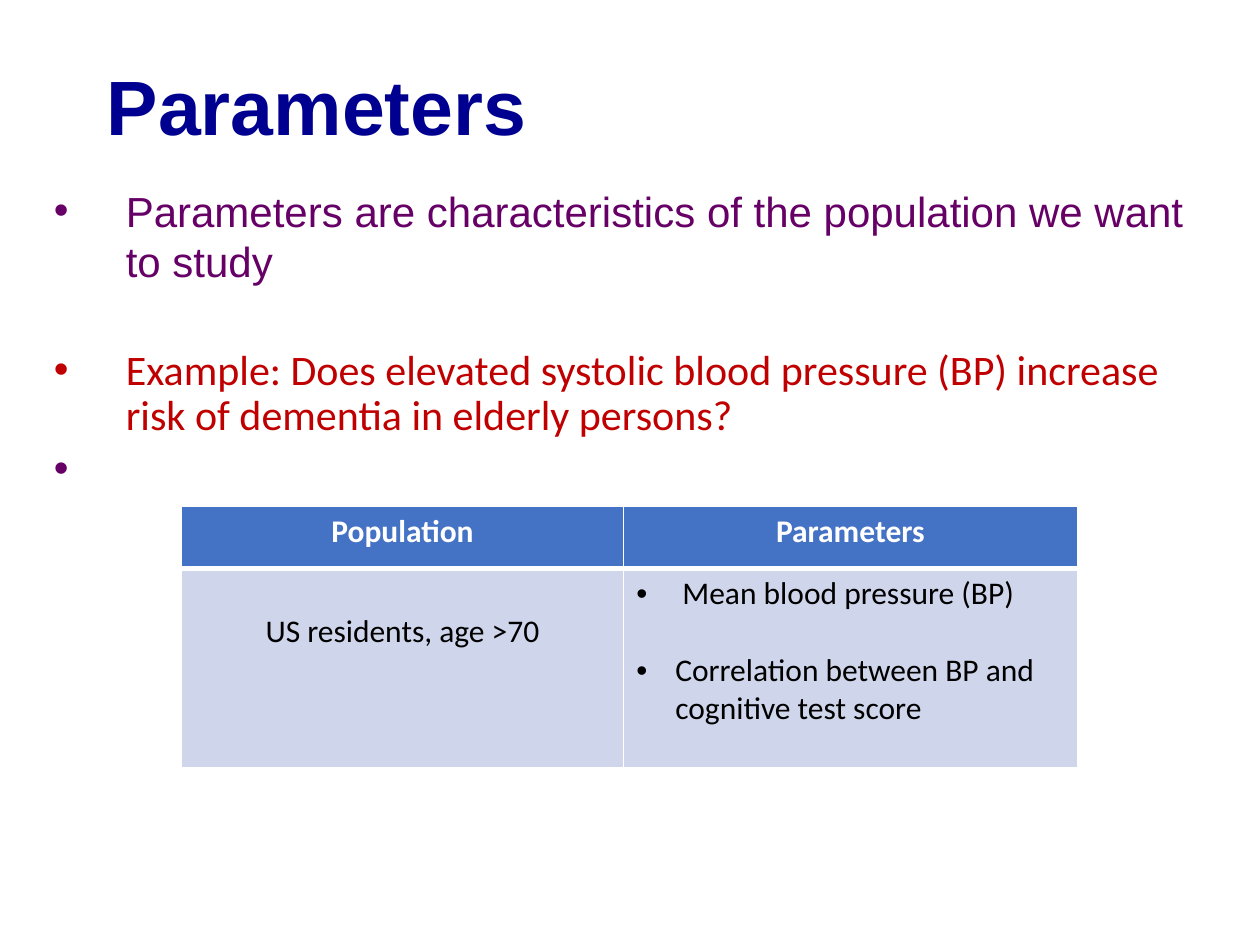
import pptx
import pptx.dml.color
import pptx.enum.text
import pptx.oxml
import pptx.oxml.ns
import pptx.util

ALIGN = pptx.enum.text.PP_ALIGN
ANCHOR = pptx.enum.text.MSO_ANCHOR
NAVY, PURPLE, RED = "000090", "660066", "C00000"
WHITE, BLACK, HEADER_BLUE, PALE_BLUE = "FFFFFF", "000000", "4472C4", "CFD5EA"


def color(hex_code):
    return pptx.dml.color.RGBColor.from_string(hex_code)


def xml(tag, attributes, content=""):
    namespace = pptx.oxml.ns.nsdecls("a")
    return pptx.oxml.parse_xml(f"<a:{tag} {namespace} {attributes}>{content}</a:{tag}>")


class LessonSlide:
    """Places elements on a grid of 100 columns by 75 rows."""

    def __init__(self, presentation):
        self.column = presentation.slide_width / 100
        self.row = presentation.slide_height / 75
        self.slide = presentation.slides.add_slide(presentation.slide_layouts[6])

    def across(self, columns):
        return round(columns * self.column)

    def down(self, rows):
        return round(rows * self.row)

    def area(self, left, top, width, height):
        return self.across(left), self.down(top), self.across(width), self.down(height)

    def fill_text(self, frame, paragraphs):
        """Each paragraph is (text, font values, paragraph values, bullet indent)."""
        for number, (text, font_values, layout, indent) in enumerate(paragraphs):
            paragraph = frame.add_paragraph() if number else frame.paragraphs[0]
            for name, value in layout.items():
                setattr(paragraph, name, value)
            if indent:
                properties = paragraph._p.get_or_add_pPr()
                properties.set("marL", str(self.across(indent)))
                properties.set("indent", str(-self.across(indent)))
                properties.append(xml("buFont", 'typeface="Arial"'))
                properties.append(xml("buChar", 'char="•"'))
            run = paragraph.add_run()
            run.text = text
            values = dict(font_values)
            run.font.color.rgb = color(values.pop("color"))
            for name, value in values.items():
                setattr(run.font, name, value)

    def text(self, area, paragraphs, anchor=ANCHOR.TOP):
        frame = self.slide.shapes.add_textbox(*self.area(*area)).text_frame
        frame.word_wrap = True
        frame.vertical_anchor = anchor
        self.fill_text(frame, paragraphs)

    def table(self, area, widths, heights, rows):
        """Each cell is (fill, bottom border in points, top margin in rows, paragraphs)."""
        table = self.slide.shapes.add_table(
            len(heights), len(widths), *self.area(*area)).table
        for column, width in zip(table.columns, widths):
            column.width = self.across(width)
        for row, height, cells in zip(table.rows, heights, rows):
            row.height = self.down(height)
            for cell, (fill, bottom, margin, paragraphs) in zip(row.cells, cells):
                self.borders(cell, bottom)
                cell.fill.solid()
                cell.fill.fore_color.rgb = color(fill)
                cell.margin_top = self.down(margin)
                self.fill_text(cell.text_frame, paragraphs)

    def borders(self, cell, bottom):
        properties = cell._tc.get_or_add_tcPr()
        line_fill = f'<a:solidFill><a:srgbClr val="{WHITE}"/></a:solidFill>'
        for side, points in {"lnL": 1, "lnR": 1, "lnT": 1, "lnB": bottom}.items():
            properties.append(xml(side, f'w="{pptx.util.Pt(points)}"', line_fill))


def font(name, size, hex_code, bold=False):
    return {"name": name, "size": pptx.util.Pt(size), "color": hex_code, "bold": bold}


def main():
    presentation = pptx.Presentation()
    presentation.slide_width = pptx.util.Inches(10)
    presentation.slide_height = pptx.util.Inches(7.5)
    lesson = LessonSlide(presentation)

    lesson.text((7.5, 2.5, 85, 12.5), [
        ("Parameters", font("Arial", 44, NAVY, True), {"line_spacing": 0.9}, 0),
    ], ANCHOR.MIDDLE)

    definition = font("Arial", 24, PURPLE)
    example = font("Calibri", 24, RED)
    lesson.text((3.3, 14.2, 94.2, 58.3), [
        ("Parameters are characteristics of the population we want to study",
         definition, {}, 5.7),
        ("Example: Does elevated systolic blood pressure (BP) increase risk of "
         "dementia in elderly persons?",
         example, {"line_spacing": 0.9, "space_before": pptx.util.Pt(36)}, 5.7),
        ("\t", definition, {"line_spacing": 0.9, "space_before": pptx.util.Pt(5)}, 5.7),
    ])

    heading = font("Calibri", 18, WHITE, True)
    entry = font("Calibri", 18, BLACK)
    centered = {"alignment": ALIGN.CENTER}
    header = [(HEADER_BLUE, 3, 0.5, [(label, heading, centered, 0)])
              for label in ("Population", "Parameters")]
    study = [
        (PALE_BLUE, 1, 3.55, [("US residents, age >70", entry, centered, 0)]),
        (PALE_BLUE, 1, 0.5, [
            (" Mean blood pressure (BP)", entry, {}, 3.1),
            ("Correlation between BP and cognitive test score", entry,
             {"space_before": pptx.util.Pt(22)}, 3.1),
        ]),
    ]
    lesson.table((14.4, 40.2, 71.1, 20.7), (35.1, 36), (4.9, 15.8), (header, study))

    presentation.save("out.pptx")


if __name__ == "__main__":
    main()
